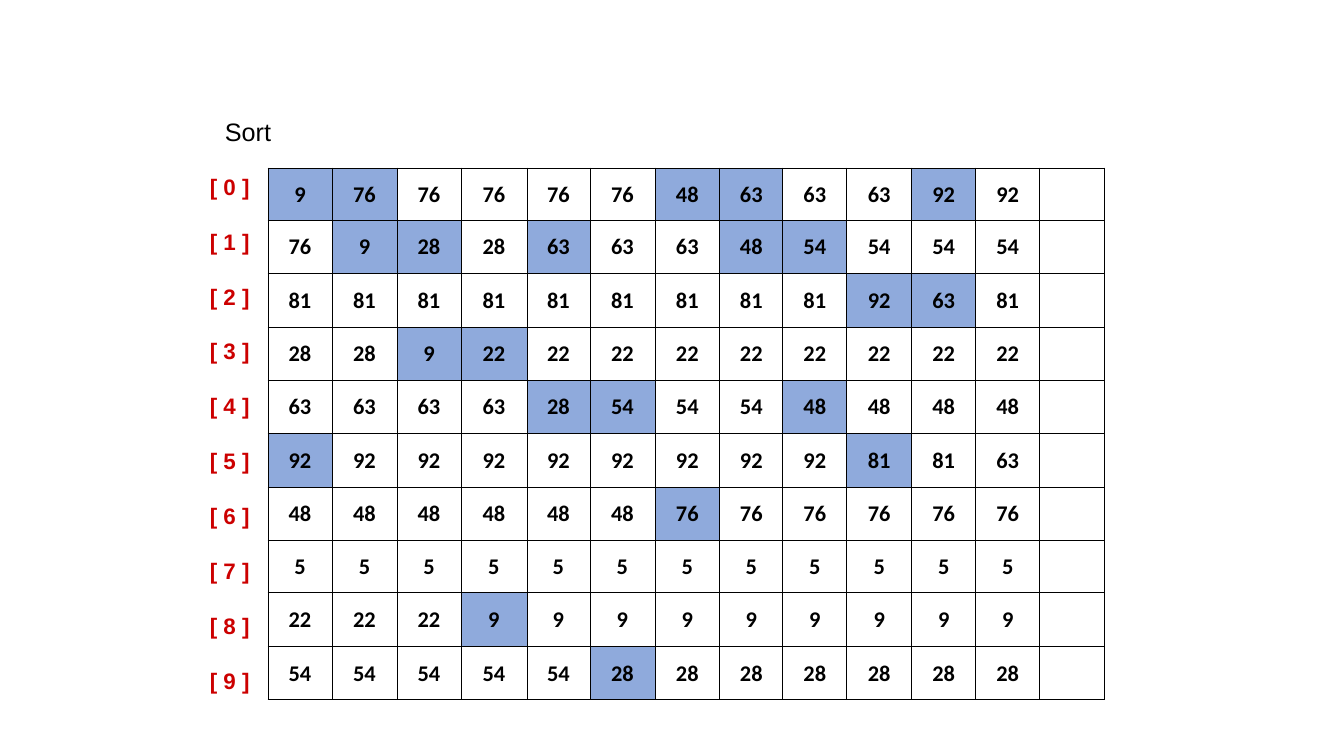
"""Build a slide that traces a heap sort swap by swap in a table."""
import lxml.etree
import pptx
import pptx.dml.color
import pptx.enum.text
import pptx.oxml.ns
import pptx.util

TITLE = "Sort"
START = [92, 76, 81, 28, 63, 9, 48, 5, 22, 54]
SWAPS = [(0, 5), (0, 1), (1, 3), (3, 8), (1, 4), (4, 9),
         (0, 6), (0, 1), (1, 4), (2, 5), (0, 2), (2, 5)]
SHADED = 11
WIDTHS = [64, 65, 64, 66, 63, 65, 65, 63, 64, 65, 64, 64, 65]
LEFT, TOP, FIRST = 268, 168, 52

RED = pptx.dml.color.RGBColor(0xCC, 0, 0)
BLACK = pptx.dml.color.RGBColor(0, 0, 0)
BLUE = pptx.dml.color.RGBColor(0x8F, 0xAA, 0xDC)
SCALE = 914400 / 100.8


def px(count):
    return pptx.util.Emu(round(count * SCALE))


def write(para, text, font, size, color, bold):
    run = para.add_run()
    run.text = text
    run.font.name = font
    run.font.size = pptx.util.Pt(size)
    run.font.color.rgb = color
    run.font.bold = bold


def add_box(slide, left, top, width, height, wrap):
    box = slide.shapes.add_textbox(*map(px, (left, top, width, height)))
    box.text_frame.word_wrap = wrap
    return box.text_frame


def add_border(cell):
    props = cell._tc.get_or_add_tcPr()
    qn = pptx.oxml.ns.qn
    for side in ("lnL", "lnR", "lnT", "lnB"):
        line = lxml.etree.SubElement(props, qn("a:" + side), w="6350")
        fill = lxml.etree.SubElement(line, qn("a:solidFill"))
        lxml.etree.SubElement(fill, qn("a:srgbClr"), val=str(BLACK))


def add_value(cell, value):
    cell.vertical_anchor = pptx.enum.text.MSO_ANCHOR.MIDDLE
    cell.margin_left = cell.margin_right = cell.margin_top = px(1)
    cell.margin_bottom = 0
    para = cell.text_frame.paragraphs[0]
    para.alignment = pptx.enum.text.PP_ALIGN.CENTER
    write(para, str(value), "Calibri", 16, BLACK, True)


def add_grid(slide):
    edges = [0] + [FIRST + round(160 * i / 3) for i in range(len(START))]
    frame = slide.shapes.add_table(
        len(START), len(WIDTHS), px(LEFT), px(TOP), px(sum(WIDTHS)), px(edges[-1]))
    table = frame.table
    table.first_row = table.horz_banding = False
    for col, width in zip(table.columns, WIDTHS):
        col.width = px(width)
    for row, low, high in zip(table.rows, edges, edges[1:]):
        row.height = px(high - low)
    for cell in table.iter_cells():
        add_border(cell)
        cell.fill.background()
    state = list(START)
    for step, (one, two) in enumerate(SWAPS):
        state[one], state[two] = state[two], state[one]
        for place, value in enumerate(state):
            cell = table.cell(place, step)
            add_value(cell, value)
            if step < SHADED and place in (one, two):
                cell.fill.solid()
                cell.fill.fore_color.rgb = BLUE


def add_labels(slide):
    frame = add_box(slide, 200, TOP, 60, 522, False)
    for place in range(len(START)):
        para = frame.add_paragraph() if place else frame.paragraphs[0]
        para.space_before = pptx.util.Pt(20 if place else 0)
        write(para, f"[ {place} ]", "Arial", 16, RED, True)


def main():
    deck = pptx.Presentation()
    deck.slide_width, deck.slide_height = px(1344), px(756)
    slide = deck.slides.add_slide(deck.slide_layouts[6])
    add_labels(slide)
    title = add_box(slide, 215, 111, 504, 40, True)
    write(title.paragraphs[0], TITLE, "Arial", 18, BLACK, False)
    add_grid(slide)
    deck.save("out.pptx")


main()
